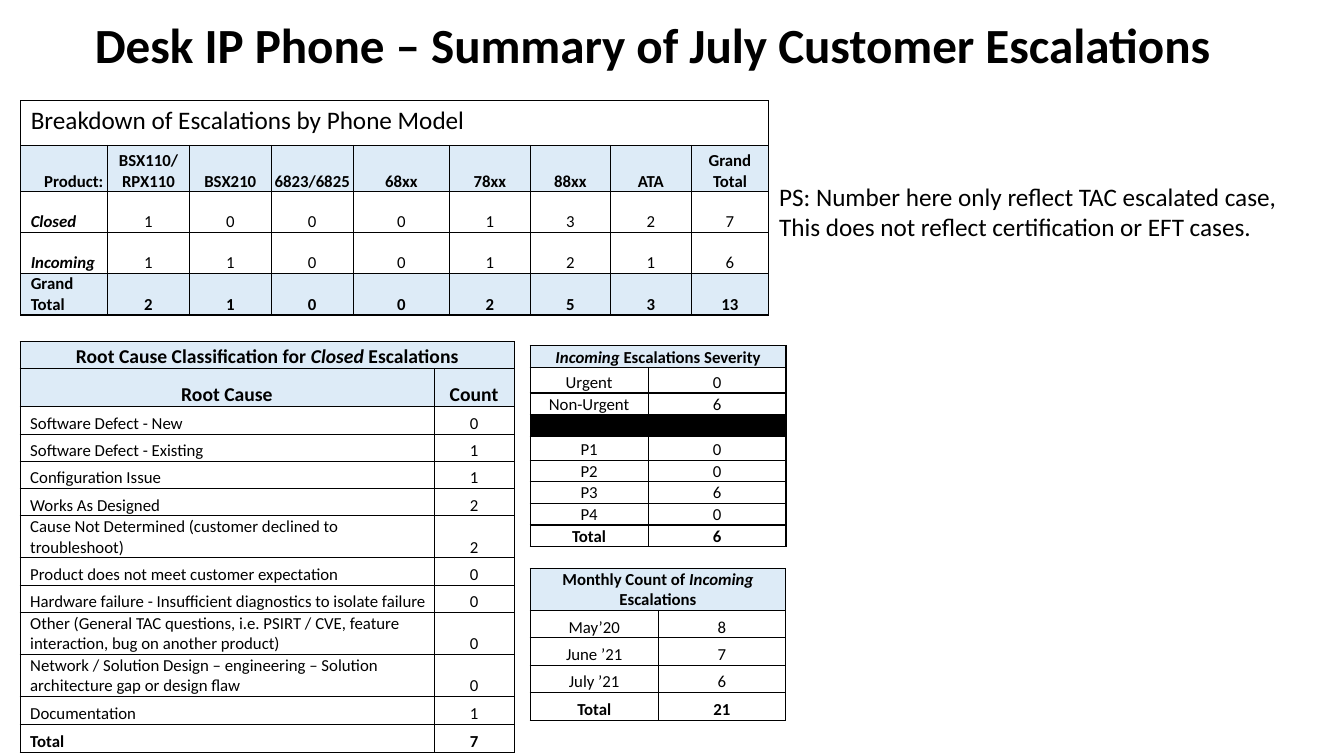
"""Build the slide that summarises July customer escalations."""
from dataclasses import dataclass

from lxml import etree
from pptx import Presentation
from pptx import util as u
from pptx.dml import color
from pptx.enum import text
from pptx.oxml import ns

COLORS = {"ink": "000000", "band": "DDEBF7"}
FONT = "Calibri"
PLAIN_STYLE = "{2D5ABB26-0587-4C30-8999-92F81FD0307C}"
LEFT, CENTER, RIGHT = text.PP_ALIGN.LEFT, text.PP_ALIGN.CENTER, text.PP_ALIGN.RIGHT


@dataclass
class Row:
    cells: list
    height: float = 19.5
    size: float = 12
    bold: bool = False
    fill: str = ""
    label: int = CENTER
    caption: bool = False


def add_runs(para, words, size, bold=False):
    for index, part in enumerate(words.split("*")):
        if not part:
            continue
        span = para.add_run()
        span.text = part
        emphasis = index % 2 == 1
        span.font.name, span.font.size = FONT, u.Pt(size)
        span.font.bold, span.font.italic = bold or emphasis, emphasis
        span.font.color.rgb = color.RGBColor.from_string(COLORS["ink"])


def set_border(cell, side, width):
    line = etree.SubElement(cell._tc.get_or_add_tcPr(), ns.qn(f"a:ln{side}"), w=str(u.Pt(width)))
    fill = etree.SubElement(line, ns.qn("a:solidFill"))
    etree.SubElement(fill, ns.qn("a:srgbClr"), val=COLORS["ink"])


def set_cell(cell, row, words, align):
    if row.fill:
        cell.fill.solid()
        cell.fill.fore_color.rgb = color.RGBColor.from_string(COLORS[row.fill])
    else:
        cell.fill.background()
    if not row.caption:
        cell.vertical_anchor = text.MSO_ANCHOR.BOTTOM
        cell.margin_left = u.Pt(7.2 if align == LEFT else 0.7)
        cell.margin_right = u.Pt(3 if align == RIGHT else 0.7)
        cell.margin_top, cell.margin_bottom = u.Pt(0.7), 0
    para = cell.text_frame.paragraphs[0]
    para.alignment = align
    add_runs(para, words, row.size, row.bold)
    if not words:
        para._p.get_or_add_endParaRPr().set("sz", str(row.size * 100))


def add_grid(page, left, top, widths, rows, heavy, left_edge=1):
    height = sum(row.height for row in rows)
    frame = page.shapes.add_table(len(rows), len(widths), u.Pt(left), u.Pt(top),
                                  u.Pt(sum(widths)), u.Pt(height))
    table = frame.table
    table.first_row = table.horz_banding = False
    table._tbl.tblPr.find(ns.qn("a:tableStyleId")).text = PLAIN_STYLE
    for column, width in zip(table.columns, widths):
        column.width = u.Pt(width)
    last = len(widths) - 1
    for r, row in enumerate(rows):
        table.rows[r].height = u.Pt(row.height)
        spanning = len(row.cells) == 1
        if spanning:
            table.cell(r, 0).merge(table.cell(r, last))
        for c in range(last + 1):
            cell = table.cell(r, c)
            ends_row = spanning or c == last
            set_border(cell, "L", left_edge if c == 0 else 0.5)
            set_border(cell, "R", 1 if ends_row else 0.5)
            set_border(cell, "T", 1 if r in heavy else 0.5)
            set_border(cell, "B", 1 if r + 1 in heavy else 0.5)
            if c < len(row.cells):
                set_cell(cell, row, row.cells[c], CENTER if c else row.label)


def add_title(page, words):
    title = page.shapes.title
    title.left, title.top, title.width, title.height = map(u.Pt, (60.5, 2.9, 828, 54))
    frame = title.text_frame
    frame.auto_size = text.MSO_AUTO_SIZE.NONE
    frame.vertical_anchor = text.MSO_ANCHOR.BOTTOM
    para = frame.paragraphs[0]
    para.alignment, para.line_spacing = LEFT, 0.9
    add_runs(para, words, 35.1, bold=True)


def add_note(page, lines):
    box = page.shapes.add_textbox(u.Pt(549.4), u.Pt(126), u.Pt(374.4), u.Pt(51))
    frame = box.text_frame
    frame.word_wrap = False
    for index, words in enumerate(lines):
        para = frame.add_paragraph() if index else frame.paragraphs[0]
        add_runs(para, words, 18)


def add_models(page):
    rows = [
        Row(["Breakdown of Escalations by Phone Model"], 32, size=18, label=LEFT, caption=True),
        Row(["Product:", "BSX110/RPX110", "BSX210", "6823/6825", "68xx", "78xx", "88xx", "ATA",
             "Grand Total"], 33, bold=True, fill="band", label=RIGHT),
        Row(["*Closed*", *"10001327"], 29, label=LEFT),
        Row(["*Incoming*", *"11001216"], 29, label=LEFT),
        Row(["Grand Total", *"2100253", "13"], 30, bold=True, fill="band", label=LEFT),
    ]
    widths = [62] + [58.5] * 3 + [69] + [57.5] * 3 + [55.5]
    add_grid(page, 14.8, 72, widths, rows, {1, 5}, left_edge=0.5)


def add_root_causes(page):
    causes = [
        ("Software Defect - New", "0", 19.5),
        ("Software Defect - Existing", "1", 19.5),
        ("Configuration Issue", "1", 19.5),
        ("Works As Designed", "2", 19.5),
        ("Cause Not Determined (customer declined to troubleshoot)", "2", 30),
        ("Product does not meet customer expectation", "0", 19.5),
        ("Hardware failure - Insufficient diagnostics to isolate failure", "0", 19.5),
        ("Other (General TAC questions, i.e. PSIRT / CVE, feature interaction, "
         "bug on another product)", "0", 30),
        ("Network / Solution Design – engineering – Solution architecture gap "
         "or design flaw", "0", 30),
        ("Documentation", "1", 20),
    ]
    rows = [
        Row(["Root Cause Classification for *Closed* Escalations"], size=14, bold=True, fill="band"),
        Row(["Root Cause", "Count"], 27, size=14, bold=True, fill="band"),
        *(Row([cause, count], height, label=LEFT) for cause, count, height in causes),
        Row(["Total", "7"], 20, bold=True, label=LEFT),
    ]
    add_grid(page, 14.4, 244, [295.5, 57.5], rows, {0, 1, 2, 12, 13})


def add_severity(page):
    rows = [
        Row(["*Incoming* Escalations Severity"], 16, bold=True, fill="band"),
        Row(["Urgent", "0"], 18),
        Row(["Non-Urgent", "6"], 15.7),
        Row(["", ""], 15.7, fill="ink"),
        Row(["P1", "0"], 16.5),
        *(Row([level, count], 15.5) for level, count in (("P2", "0"), ("P3", "6"), ("P4", "0"))),
        Row(["Total", "6"], 15.7, bold=True),
    ]
    add_grid(page, 378.7, 246.7, [84.2, 98.6], rows, {0, 1, 2, 3, 4, 7, 8, 9})


def add_months(page):
    months = [("May’20", "8"), ("June ’21", "7"), ("July ’21", "6")]
    rows = [
        Row(["Monthly Count of *Incoming* Escalations"], 30, bold=True, fill="band"),
        *(Row(list(month)) for month in months),
        Row(["Total", "21"], 20, bold=True),
    ]
    add_grid(page, 378.7, 406, [91.5, 91], rows, {0, 1, 5})


def main():
    deck = Presentation()
    deck.slide_width, deck.slide_height = u.Pt(960), u.Pt(540)
    page = deck.slides.add_slide(deck.slide_layouts[5])
    add_title(page, "Desk IP Phone – Summary of July Customer Escalations")
    add_models(page)
    add_root_causes(page)
    add_severity(page)
    add_months(page)
    add_note(page, ["PS: Number here only reflect TAC escalated case,",
                    "This does not reflect certification or EFT cases."])
    deck.save("out.pptx")


main()
